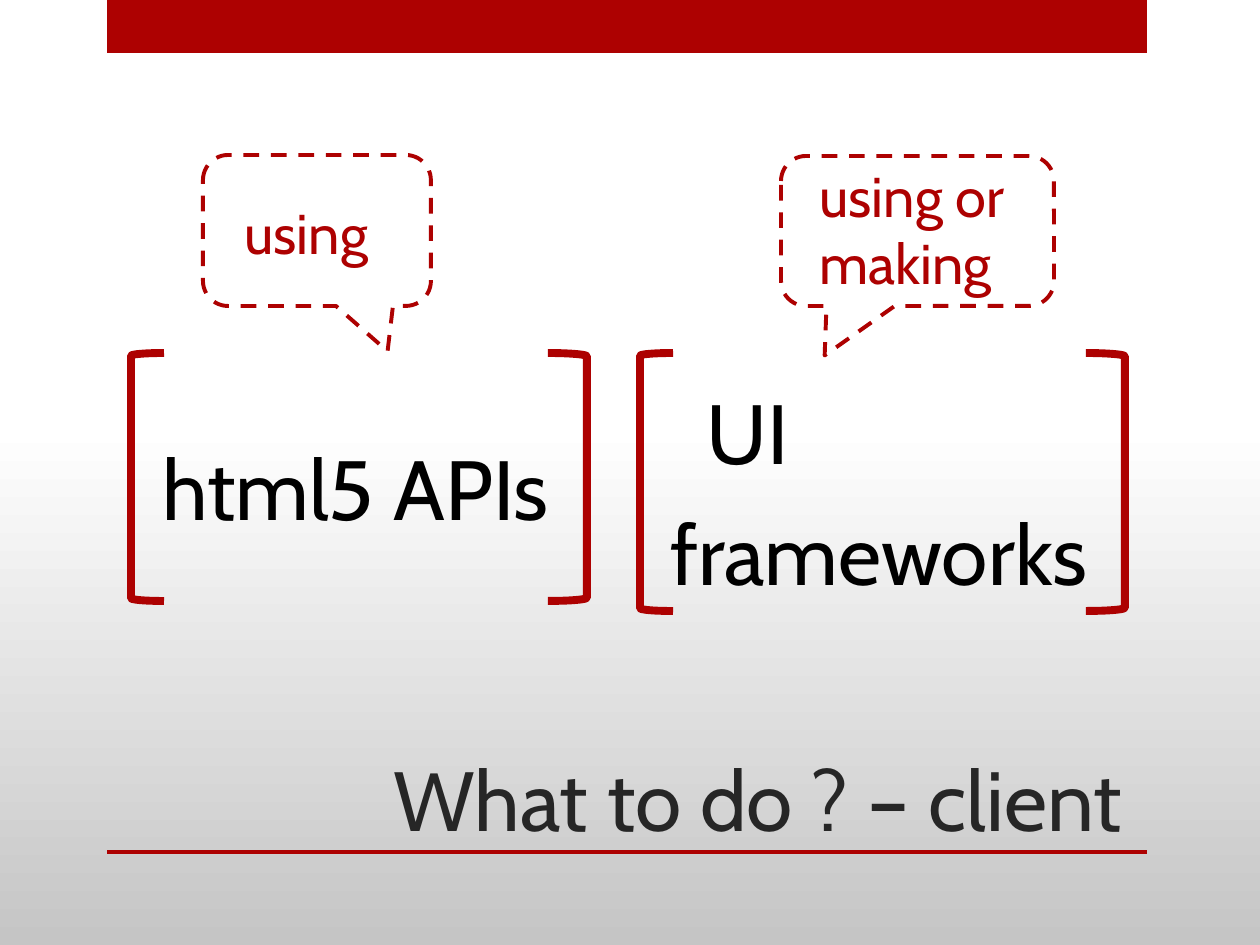
from copy import deepcopy
from dataclasses import dataclass

from pptx import Presentation
from pptx.dml.color import RGBColor
from pptx.enum.dml import MSO_LINE
from pptx.enum.shapes import MSO_SHAPE
from pptx.enum.text import MSO_ANCHOR, MSO_AUTO_SIZE, PP_ALIGN
from pptx.util import Pt

RECTANGLE = MSO_SHAPE.RECTANGLE
LEFT_BRACKET = MSO_SHAPE.LEFT_BRACKET
RIGHT_BRACKET = MSO_SHAPE.RIGHT_BRACKET
CALLOUT = MSO_SHAPE.ROUNDED_RECTANGULAR_CALLOUT
DASH = MSO_LINE.DASH
BOTTOM = MSO_ANCHOR.BOTTOM
RIGHT = PP_ALIGN.RIGHT
NO_AUTOFIT = MSO_AUTO_SIZE.NONE
EMU_PER_PIXEL = 914400 / 126
TITLE_ONLY = 5


@dataclass(frozen=True)
class Theme:
    """Colours, font and sizes shared by the slide."""
    accent: RGBColor = RGBColor(0xAD, 0x01, 0x01)
    white: RGBColor = RGBColor(0xFF, 0xFF, 0xFF)
    grey: RGBColor = RGBColor(0xC5, 0xC5, 0xC5)
    title: RGBColor = RGBColor(0x26, 0x26, 0x26)
    body: RGBColor = RGBColor(0, 0, 0)
    font: str = "Cabin"
    large: int = 48
    small: int = 32


THEME = Theme()


def px(pixels):
    """Turn pixels into EMU."""
    return round(pixels * EMU_PER_PIXEL)


def box(left, top, width, height):
    """Return a box in EMU."""
    return px(left), px(top), px(width), px(height)


def paint_background(slide):
    """Fade the background from white down to grey."""
    fill = slide.background.fill
    fill.gradient()
    fill.gradient_angle = 270
    first = fill.gradient_stops[0]._gs
    first.addnext(deepcopy(first))
    stops = ((0, THEME.white), (0.45, THEME.white), (1, THEME.grey))
    for stop, (position, color) in zip(fill.gradient_stops, stops):
        stop.position = position
        stop.color.rgb = color


def style_text(shape, text, size, color):
    """Write one paragraph and return it."""
    frame = shape.text_frame
    frame.word_wrap = True
    frame.auto_size = NO_AUTOFIT
    paragraph = frame.paragraphs[0]
    paragraph.text = text
    font = paragraph.font
    font.name, font.size = THEME.font, Pt(size)
    font.color.rgb = color
    return paragraph


def add_bar(slide, area):
    """Add a solid accent bar."""
    bar = slide.shapes.add_shape(RECTANGLE, *box(*area))
    bar.shadow.inherit = False
    bar.fill.solid()
    bar.fill.fore_color.rgb = THEME.accent
    bar.line.fill.background()


def add_outline(group, kind, area, width):
    """Add a shape with an accent outline."""
    shape = group.shapes.add_shape(kind, *box(*area))
    shape.shadow.inherit = False
    shape.fill.background()
    shape.line.color.rgb = THEME.accent
    shape.line.width = Pt(width)
    return shape


def add_label(group, area, text, size, color):
    """Add a text box and return its paragraph."""
    return style_text(group.shapes.add_textbox(*box(*area)), text, size, color)


def add_bracketed(slide, left, right, height, area, text, indent=0):
    """Add a topic between square brackets."""
    group = slide.shapes.add_group_shape()
    add_outline(group, LEFT_BRACKET, (left, 353, 33, height), 4.5)
    add_outline(group, RIGHT_BRACKET, (right, 353, 39, height), 4.5)
    paragraph = add_label(group, area, text, THEME.large, THEME.body)
    paragraph.line_spacing = 1.2
    if indent:
        paragraph._p.get_or_add_pPr().set("indent", str(px(indent)))


def add_callout(slide, area, tip, label_area, text):
    """Add a dashed speech bubble with its label."""
    group = slide.shapes.add_group_shape()
    callout = add_outline(group, CALLOUT, area, 2.25)
    callout.fill.solid()
    callout.fill.fore_color.rgb = THEME.white
    callout.line.dash_style = DASH
    callout.adjustments[0], callout.adjustments[1] = tip
    add_label(group, label_area, text, THEME.small, THEME.accent)


def set_title(slide, text):
    """Place and format the title."""
    title = slide.shapes.title
    title.left, title.top, title.width, title.height = box(203, 701, 932, 154)
    paragraph = style_text(title, text, THEME.large, THEME.title)
    paragraph.alignment = RIGHT
    title.text_frame.vertical_anchor = BOTTOM


def main():
    """Build and save the slide."""
    presentation = Presentation()
    presentation.slide_width, presentation.slide_height = px(1260), px(945)
    slide = presentation.slides.add_slide(presentation.slide_layouts[TITLE_ONLY])
    paint_background(slide)
    add_bar(slide, (107, 0, 1040, 53))
    add_bar(slide, (107, 850, 1040, 4))
    set_title(slide, "What to do ? – client")
    add_bracketed(slide, 131, 548, 248, (150, 410, 430, 135), "html5 APIs")
    add_bracketed(slide, 640, 1086, 258, (658, 354, 470, 257),
                  "UI frameworks", indent=36)
    add_callout(slide, (203, 155, 228, 151), (0.31, 0.8),
                (232, 192, 154, 81), "using")
    add_callout(slide, (781, 156, 273, 150), (-0.34, 0.83),
                (807, 155, 248, 149), "using or making")
    presentation.save("out.pptx")


main()
